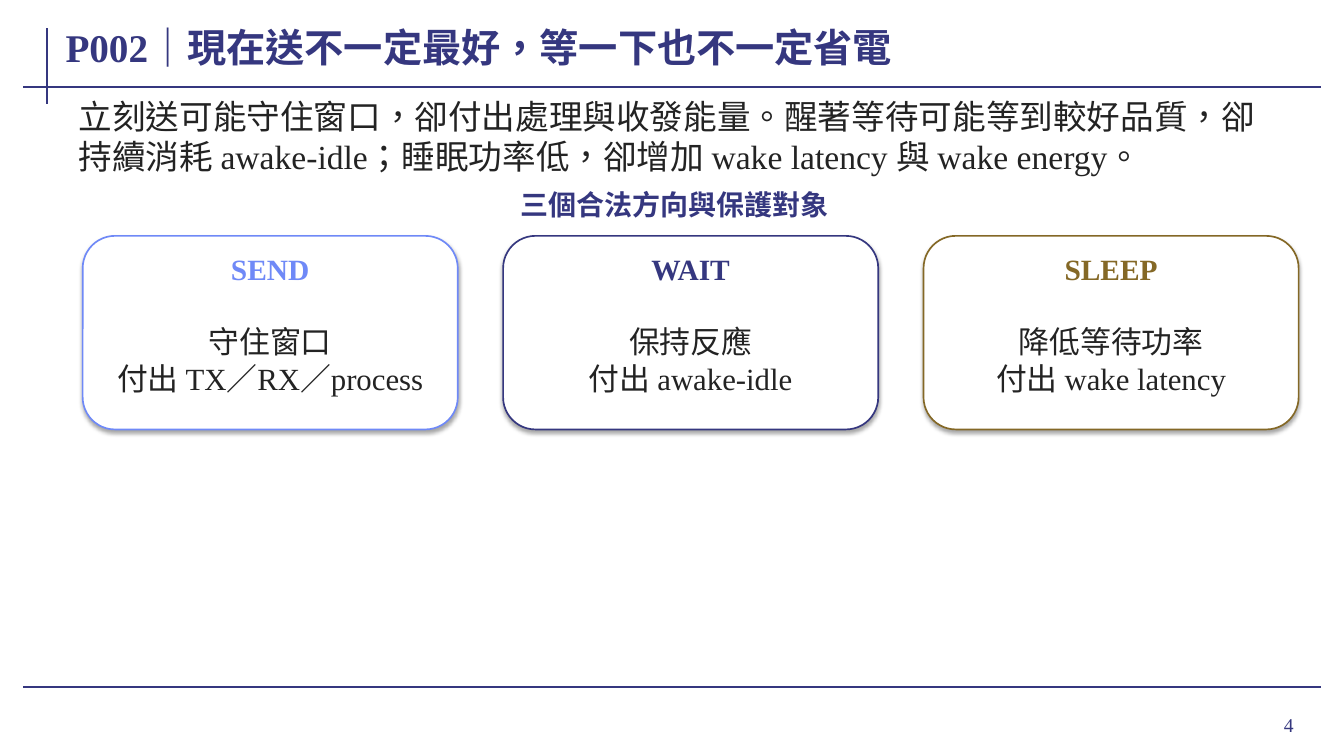
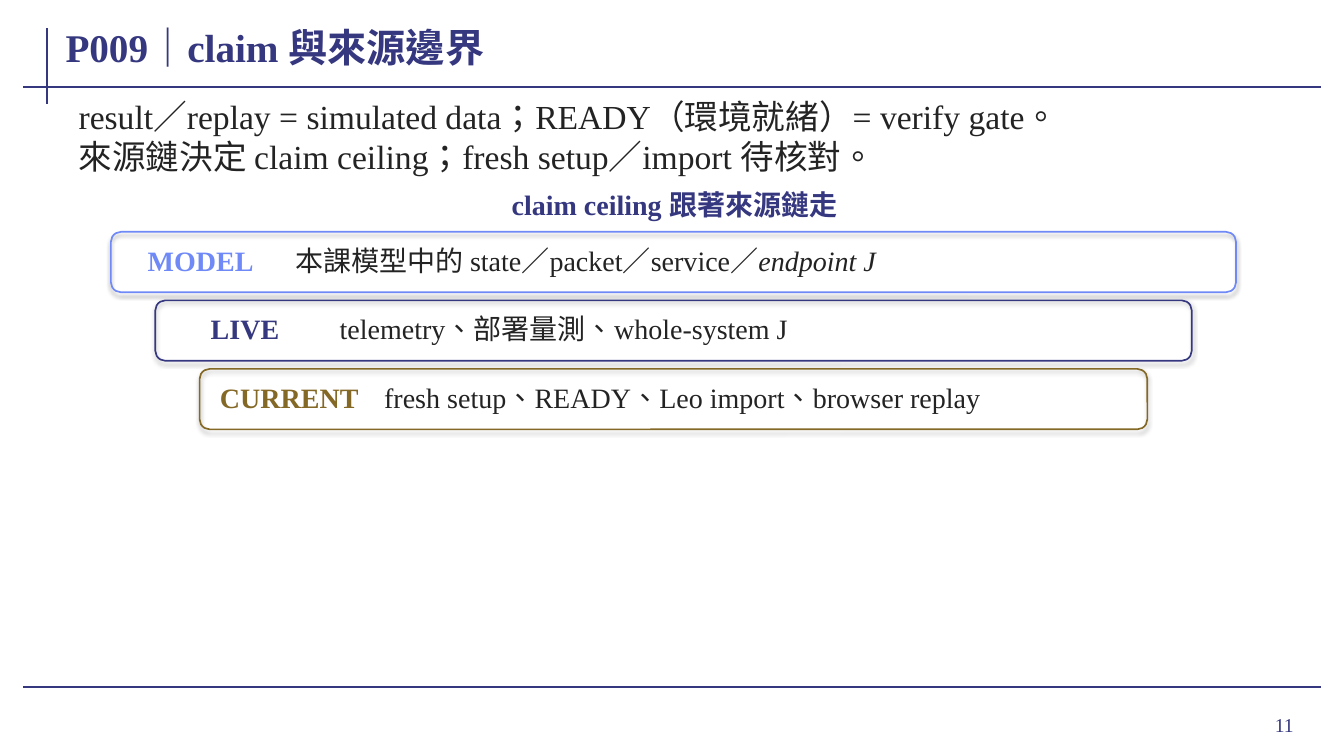
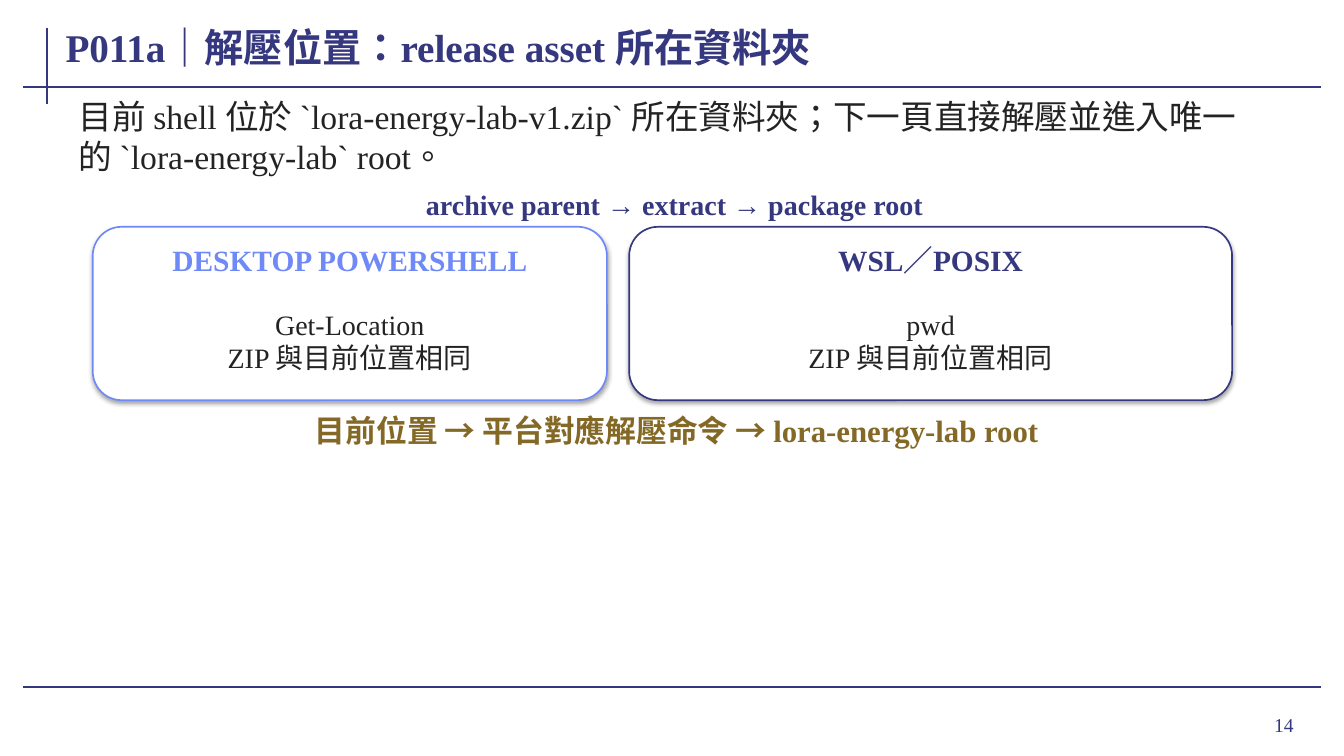
"""Build three lesson slides on sending, waiting and sleeping with python-pptx."""
from pptx import Presentation
from pptx.dml.color import RGBColor
from pptx.enum.lang import MSO_LANGUAGE_ID
from pptx.enum.shapes import MSO_CONNECTOR, MSO_SHAPE
from pptx.enum.text import MSO_ANCHOR, MSO_AUTO_SIZE, PP_ALIGN
from pptx.oxml.ns import qn
from pptx.util import Pt
from lxml import etree

PX = 9144
FONT = "Times New Roman"
TITLE_ONLY = 5
LEFT, CENTER, RIGHT = PP_ALIGN.LEFT, PP_ALIGN.CENTER, PP_ALIGN.RIGHT
TOP, MIDDLE = MSO_ANCHOR.TOP, MSO_ANCHOR.MIDDLE
FIXED, GROW = MSO_AUTO_SIZE.NONE, MSO_AUTO_SIZE.SHAPE_TO_FIT_TEXT
STRAIGHT, ROUNDED = MSO_CONNECTOR.STRAIGHT, MSO_SHAPE.ROUNDED_RECTANGLE
CHINESE = MSO_LANGUAGE_ID.TRADITIONAL_CHINESE

COLORS = {"navy": "35377F", "blue": "6F89F7", "gold": "846826", "ink": "232323", "white": "FFFFFF"}
ACCENTS = ["blue", "navy", "gold"]
FRAME_LINES = [(47, 28, 47, 103), (23, 86, 1310, 86), (23, 682, 1310, 682)]

SLIDES = [
    {
        "number": "4",
        "title": "P002｜現在送不一定最好，等一下也不一定省電",
        "lead": ["立刻送可能守住窗口，卻付出處理與收發能量。醒著等待可能等到較好品質，"
                 "卻持續消耗 awake-idle；睡眠功率低，卻增加 wake latency 與 wake energy。"],
        "caption": "三個合法方向與保護對象",
        "cards": {
            "left": 82, "top": 234, "height": 192, "gap": 45, "size": 22,
            "items": [
                (372, "SEND", ["守住窗口", "付出 TX／RX／process"]),
                (372, "WAIT", ["保持反應", "付出 awake-idle"]),
                (372, "SLEEP", ["降低等待功率", "付出 wake latency"]),
            ],
        },
    },
    {
        "number": "11",
        "title": "P009｜claim 與來源邊界",
        "lead": ["result／replay = simulated data；READY（環境就緒）= verify gate。",
                 "來源鏈決定 claim ceiling；fresh setup／import 待核對。"],
        "caption": "claim ceiling 跟著來源鏈走",
        "tiers": [
            ("MODEL", ("本課模型中的 state／packet／service／", "endpoint J")),
            ("LIVE", "telemetry、部署量測、whole-system J"),
            ("CURRENT", "fresh setup、READY、Leo import、browser replay"),
        ],
    },
    {
        "number": "14",
        "title": "P011a｜解壓位置：release asset 所在資料夾",
        "lead": ["目前 shell 位於 `lora-energy-lab-v1.zip` 所在資料夾；"
                 "下一頁直接解壓並進入唯一的 `lora-energy-lab` root。"],
        "caption": "archive parent → extract → package root",
        "cards": {
            "left": 92, "top": 225, "height": 172, "gap": 22, "size": 20,
            "items": [
                (510, "DESKTOP POWERSHELL", ["Get-Location", "ZIP 與目前位置相同"]),
                (598, "WSL／POSIX", ["pwd", "ZIP 與目前位置相同"]),
            ],
        },
        "summary": "目前位置 → 平台對應解壓命令 → lora-energy-lab root",
    },
]


def color(name):
    return RGBColor.from_string(COLORS[name])


def scaled(*lengths):
    return [length * PX for length in lengths]


def write_text(shape, paragraphs, size, ink="ink", bold=False, align=LEFT,
               anchor=MIDDLE, inset=(1, 0), fit=GROW):
    """Write paragraphs; a tuple paragraph is plain text followed by italic text."""
    frame = shape.text_frame
    frame.word_wrap = True
    frame.auto_size = fit
    frame.vertical_anchor = anchor
    frame.margin_left = frame.margin_right = inset[0] * PX
    frame.margin_top = frame.margin_bottom = inset[1] * PX
    for index, content in enumerate(paragraphs):
        paragraph = frame.add_paragraph() if index else frame.paragraphs[0]
        paragraph.alignment = align
        pieces = content if isinstance(content, tuple) else (content,)
        for position, piece in enumerate(pieces):
            run = paragraph.add_run()
            run.text = piece
            font = run.font
            font.name, font.size, font.bold = FONT, Pt(size), bold
            font.color.rgb = color(ink)
            font.language_id = CHINESE
            if position:
                font.italic = True


def add_text(slide, box, paragraphs, size, **text_format):
    write_text(slide.shapes.add_textbox(*scaled(*box)), paragraphs, size, **text_format)


def add_panel(slide, box, accent, fill=None):
    panel = slide.shapes.add_shape(ROUNDED, *scaled(*box))
    if fill:
        panel.fill.solid()
        panel.fill.fore_color.rgb = color(fill)
    else:
        panel.fill.background()
    panel.line.color.rgb = color(accent)
    panel.line.width = Pt(1.2)


def add_frame(slide, content):
    for ends in FRAME_LINES:
        connector = slide.shapes.add_connector(STRAIGHT, *scaled(*ends))
        connector.line.color.rgb = color("navy")
        connector.line.width = Pt(1.5)
        etree.SubElement(connector.element.spPr, qn("a:effectLst"))
    add_text(slide, (1196, 693, 97, 52), [content["number"]], 14, ink="navy",
             align=RIGHT, inset=(10, 5), fit=FIXED)
    title = slide.shapes.title
    title.left, title.top, title.width, title.height = scaled(62, 15, 1249, 62)
    write_text(title, [content["title"]], 28, ink="navy", bold=True, inset=(3, 1), fit=FIXED)
    add_text(slide, (72, 93, 1190, 84), content["lead"], 24, anchor=TOP, inset=(6, 2))
    add_text(slide, (84, 187, 1170, 32), [content["caption"]], 20, ink="navy",
             bold=True, align=CENTER, inset=(2, 0))


def add_cards(slide, cards):
    left, top, height = cards["left"], cards["top"], cards["height"]
    for accent, (width, heading, body) in zip(ACCENTS, cards["items"]):
        add_panel(slide, (left, top, width, height), accent, fill="white")
        add_text(slide, (left + 14, top + 16, width - 28, 34), [heading], 21,
                 ink=accent, bold=True, align=CENTER)
        add_text(slide, (left + 18, top + 66, width - 36, height - 78), body,
                 cards["size"], align=CENTER, inset=(3, 1))
        left += width + cards["gap"]


def add_tiers(slide, tiers):
    for index, (accent, (label, detail)) in enumerate(zip(ACCENTS, tiers)):
        left, top, width = 110 + 44 * index, 230 + 68 * index, 1116 - 88 * index
        add_panel(slide, (left, top, width, 60), accent)
        add_text(slide, (left + 10, top + 13, 158, 30), [label], 20,
                 ink=accent, bold=True, align=CENTER)
        add_text(slide, (left + 182, top + 13, width - 202, 30), [detail], 20)


def main():
    presentation = Presentation()
    presentation.slide_width, presentation.slide_height = scaled(1333, 750)
    for content in SLIDES:
        slide = presentation.slides.add_slide(presentation.slide_layouts[TITLE_ONLY])
        add_frame(slide, content)
        if "cards" in content:
            add_cards(slide, content["cards"])
        if "tiers" in content:
            add_tiers(slide, content["tiers"])
        if "summary" in content:
            add_text(slide, (230, 410, 882, 34), [content["summary"]], 22, ink="gold",
                     bold=True, align=CENTER, inset=(8, 6))
    presentation.save("out.pptx")


if __name__ == "__main__":
    main()
